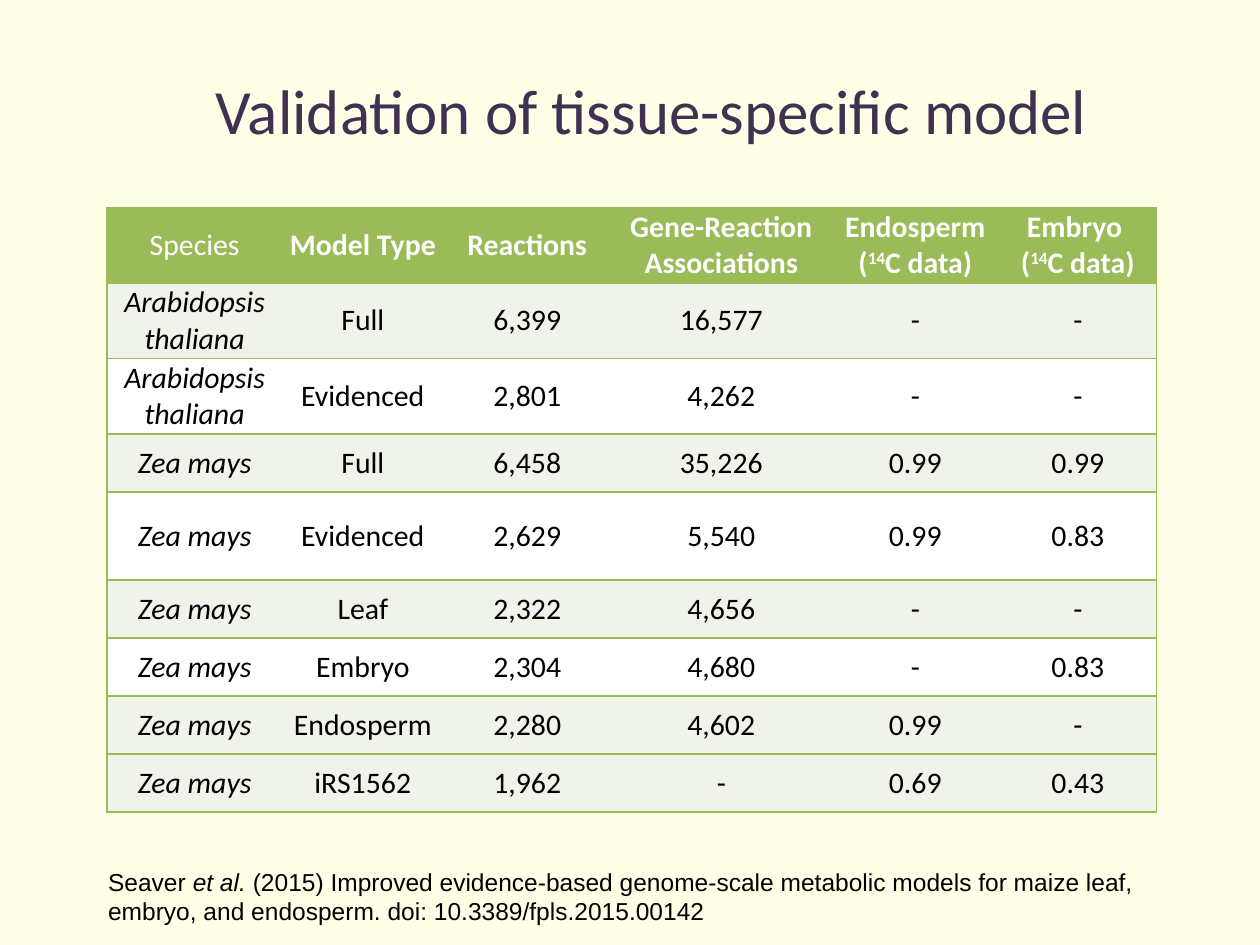
from lxml import etree
from pptx import Presentation
from pptx import util as u
from pptx.dml.color import RGBColor
from pptx.enum import text
from pptx.oxml.ns import qn

CREAM = RGBColor(0xFF, 0xFF, 0xE8)
PURPLE = RGBColor(0x40, 0x31, 0x52)
GREEN = RGBColor(0x9B, 0xBB, 0x59)
PALE_GREEN = RGBColor(0xEF, 0xF3, 0xEA)
WHITE = RGBColor(0xFF, 0xFF, 0xFF)
BLACK = RGBColor(0, 0, 0)

HEADERS = [
    [["Species"]], [["Model Type"]], [["Reactions"]],
    [["Gene-Reaction Associations"]],
    [["Endosperm (", "^14", "C data)"]],
    [["Embryo "], ["(", "^14", "C data)"]],
]
MODELS = [
    ("Arabidopsis thaliana", "Full", "6,399", "16,577", "-", "-"),
    ("Arabidopsis thaliana", "Evidenced", "2,801", "4,262", "-", "-"),
    ("Zea mays", "Full", "6,458", "35,226", "0.99", "0.99"),
    ("Zea mays", "Evidenced", "2,629", "5,540", "0.99", "0.83"),
    ("Zea mays", "Leaf", "2,322", "4,656", "-", "-"),
    ("Zea mays", "Embryo", "2,304", "4,680", "-", "0.83"),
    ("Zea mays", "Endosperm", "2,280", "4,602", "0.99", "-"),
    ("Zea mays", "iRS1562", "1,962", "-", "0.69", "0.43"),
]
COLUMN_WIDTHS = [13.9, 12.8, 13.3, 17.5, 13.3, 12.5]
ROW_HEIGHTS = [5.95, 6, 6, 4.6, 7] + [4.6] * 4


def apply(target, values):
    for name, value in values.items():
        setattr(target, name, value)


class SlideBuilder:
    """Places elements on a grid of 100 columns by 75 rows."""

    def __init__(self, presentation):
        apply(presentation, {"slide_width": u.Inches(10), "slide_height": u.Inches(7.5)})
        self.unit = presentation.slide_width / 100
        self.slide = presentation.slides.add_slide(presentation.slide_layouts[6])
        self.slide.background.fill.solid()
        self.slide.background.fill.fore_color.rgb = CREAM

    def grid(self, *counts):
        return [u.Emu(round(count * self.unit)) for count in counts]

    def fill_text(self, frame, paragraphs, color, align, font):
        """Fill a frame; runs starting with ^ are raised, with / are italic."""
        for index, runs in enumerate(paragraphs):
            paragraph = frame.add_paragraph() if index else frame.paragraphs[0]
            paragraph.alignment = align
            for content in runs:
                run = paragraph.add_run()
                run.text = content.lstrip("^/")
                apply(run.font, {"italic": content.startswith("/"), **font})
                run.font.color.rgb = color
                if content.startswith("^"):
                    run.font._element.set("baseline", "30000")

    def textbox(self, area, paragraphs, color, align, font, **frame_format):
        frame = self.slide.shapes.add_textbox(*self.grid(*area)).text_frame
        apply(frame, frame_format)
        self.fill_text(frame, paragraphs, color, align, font)

    def borders(self, cell, sides):
        """Draw the named sides and clear the others."""
        properties = cell._tc.get_or_add_tcPr()
        for index, side in enumerate("LRTB"):
            line = etree.Element(qn(f"a:ln{side}"), w=str(u.Pt(1)))
            if side in sides:
                fill = etree.SubElement(line, qn("a:solidFill"))
                etree.SubElement(fill, qn("a:srgbClr"), val=str(GREEN))
            else:
                etree.SubElement(line, qn("a:noFill"))
            properties.insert(index, line)

    def cell(self, cell, paragraphs, fill, color, font, sides):
        apply(cell, {
            "vertical_anchor": text.MSO_ANCHOR.MIDDLE,
            "margin_left": u.Inches(0.02), "margin_right": u.Inches(0.02),
            "margin_top": u.Inches(0.01), "margin_bottom": u.Inches(0.01),
        })
        cell.fill.solid()
        cell.fill.fore_color.rgb = fill
        self.fill_text(cell.text_frame, paragraphs, color, text.PP_ALIGN.CENTER,
                       {"name": "Calibri", "size": u.Pt(17), **font})
        self.borders(cell, sides)

    def table(self, left, top, widths, heights, rows, fills):
        area = self.grid(left, top, sum(widths), sum(heights))
        table = self.slide.shapes.add_table(len(rows), len(widths), *area).table
        for column, width in zip(table.columns, self.grid(*widths)):
            column.width = width
        for row, height in zip(table.rows, self.grid(*heights)):
            row.height = height
        for row_index, (row, fill) in enumerate(zip(rows, fills)):
            header = row_index == 0
            for column_index, paragraphs in enumerate(row):
                first, last = column_index == 0, column_index == len(row) - 1
                sides = "TB" + "L" * first + "R" * last
                self.cell(table.cell(row_index, column_index), paragraphs, fill,
                          WHITE if header else BLACK,
                          {"bold": header and not first}, sides)


def main():
    presentation = Presentation()
    builder = SlideBuilder(presentation)

    # Title
    builder.textbox((6.7, 2.4, 90, 12.5), [["Validation of tissue-specific model"]],
                    PURPLE, text.PP_ALIGN.CENTER,
                    {"name": "Calibri", "size": u.Pt(36)},
                    word_wrap=True, vertical_anchor=text.MSO_ANCHOR.MIDDLE,
                    margin_left=0, margin_right=0)

    # Model comparison, with species names in italics
    models = [[[["/" + species]], *([[value]] for value in values)]
              for species, *values in MODELS]
    fills = [GREEN] + [PALE_GREEN, WHITE] * 3 + [PALE_GREEN] * 2
    builder.table(8.5, 16.5, COLUMN_WIDTHS, ROW_HEIGHTS, [HEADERS] + models, fills)

    # Citation
    builder.textbox((7.6, 68.3, 84, 5.7), [
        ["Seaver ", "/et al. ",
         "(2015) Improved evidence-based genome-scale metabolic models for maize leaf,"],
        ["embryo, and endosperm. doi: 10.3389/fpls.2015.00142"],
    ], BLACK, text.PP_ALIGN.LEFT, {"name": "Arial", "size": u.Pt(14)},
        word_wrap=False, auto_size=text.MSO_AUTO_SIZE.SHAPE_TO_FIT_TEXT)

    presentation.save("out.pptx")


if __name__ == "__main__":
    main()
